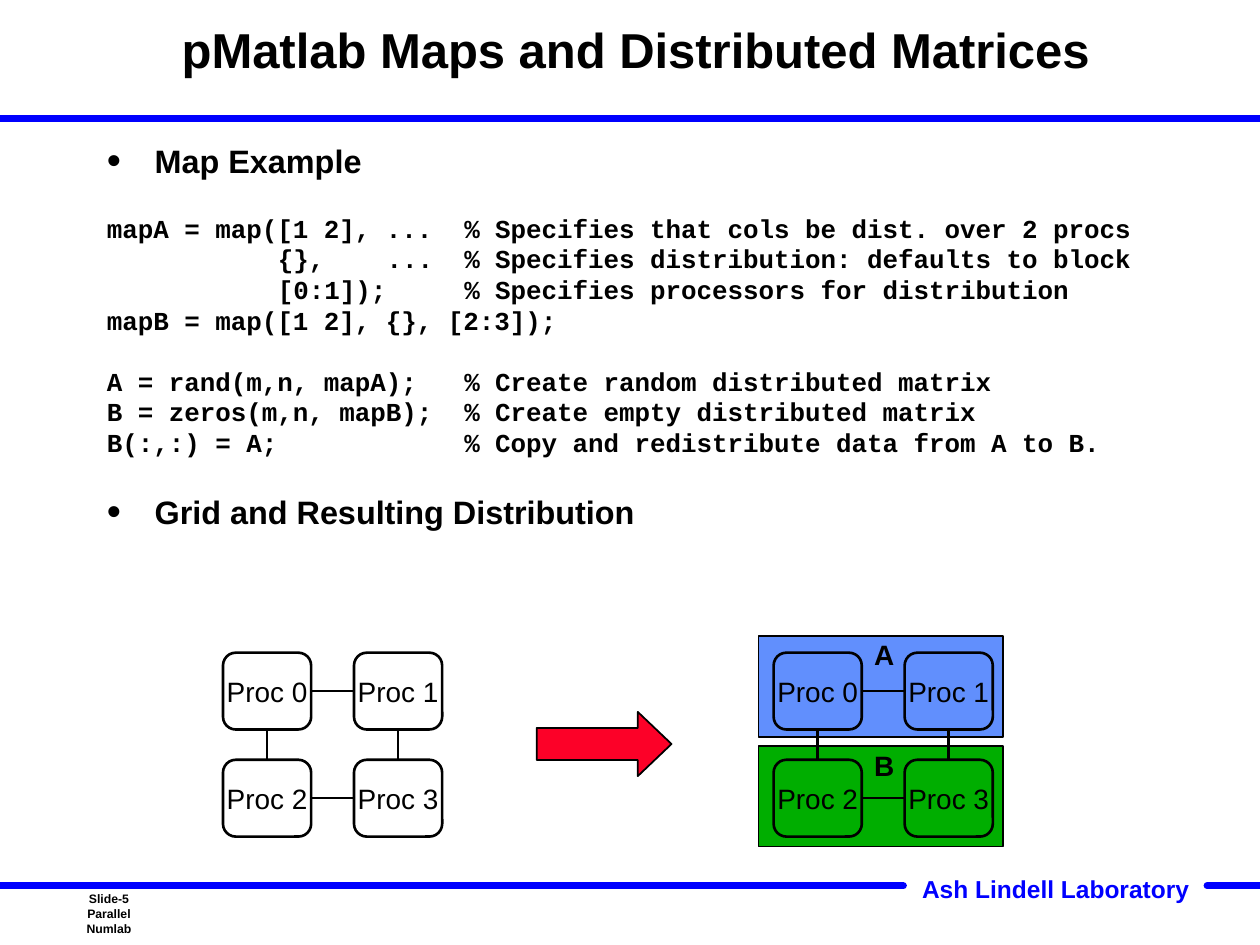
import pptx
import pptx.util
import pptx.dml.color
import pptx.enum.shapes
import pptx.enum.text
import pptx.oxml
import pptx.oxml.ns
from lxml import etree

Inches, Pt = pptx.util.Inches, pptx.util.Pt
SHAPE = pptx.enum.shapes.MSO_SHAPE
STRAIGHT = pptx.enum.shapes.MSO_CONNECTOR.STRAIGHT
ALIGN = pptx.enum.text.PP_ALIGN
ANCHOR = pptx.enum.text.MSO_ANCHOR
qn = pptx.oxml.ns.qn

COLORS = {"black": "000000", "white": "FFFFFF", "rule": "0000FF",
          "arrow": "FC0128", "A": "618FFD", "B": "00AE00"}

TITLE = "pMatlab Maps and Distributed Matrices"
LAB = "Ash Lindell Laboratory"
FOOTER = ["Slide-5", "Parallel Numlab"]

# kind, text, space before in points, tab stops in characters
BODY = [
    ("head", "Map Example", 0, []),
    ("code", "mapA = map([1 2], ...\t% Specifies that cols be dist. over 2 procs", 19, [23]),
    ("code", "\t{},\t...\t% Specifies distribution: defaults to block", 0, [11, 18, 23]),
    ("code", "\t[0:1]);\t% Specifies processors for distribution", 0, [11, 23]),
    ("code", "mapB = map([1 2], {}, [2:3]);", 0, []),
    ("code", "A = rand(m,n, mapA);\t% Create random distributed matrix", 17.5, [23]),
    ("code", "B = zeros(m,n, mapB);\t% Create empty distributed matrix", 0, [23]),
    ("code", "B(:,:) = A;\t% Copy and redistribute data from A to B.", 0, [23]),
    ("head", "Grid and Resulting Distribution", 26.2, []),
]
STYLES = {
    "head": ({"name": "Arial", "size": Pt(18.5), "bold": True}, 15.6),
    "code": ({"name": "Courier New", "size": Pt(14.8), "bold": True}, 17.5),
}
CHAR = 14.8 * 0.6 / 72      # width of one code character, inches
HANG = 0.38

PROCS = [["Proc 0", "Proc 1"], ["Proc 2", "Proc 3"]]
BOX = (0.7, 0.61)
STEP = (1.04, 0.85)
GRID_TOP = 5.18
# left edge, fill of each row
GRIDS = [(1.77, ["white", "white"]), (6.14, ["A", "B"])]
# name, top of band, top of label
BANDS = [("A", 5.05, 5.01), ("B", 5.92, 5.89)]
# from (row, col, side), to (row, col, side)
LINKS = [((0, 0, 3), (0, 1, 1)), ((0, 1, 2), (1, 1, 0)),
         ((1, 0, 3), (1, 1, 1)), ((0, 0, 2), (1, 0, 0))]
# x1, x2, y
RULES = [(0, 10, 0.94), (0, 7.17, 7.03), (9.58, 10, 7.03)]


def rgb(name):
    return pptx.dml.color.RGBColor.from_string(COLORS[name])


def style(font, form, color="black"):
    for key, val in form.items():
        setattr(font, key, val)
    font.color.rgb = rgb(color)


def write(shape, lines, size, bold=False, color="black",
          align=ALIGN.CENTER, anchor=ANCHOR.MIDDLE):
    frame = shape.text_frame
    frame.word_wrap = False
    frame.vertical_anchor = anchor
    for i, line in enumerate(lines):
        para = frame.paragraphs[0] if i == 0 else frame.add_paragraph()
        para.alignment = align
        run = para.add_run()
        run.text = line
        style(run.font, {"name": "Arial", "size": Pt(size), "bold": bold}, color)
    return frame


def text(shapes, at, lines, size, **look):
    box = shapes.add_textbox(*map(Inches, at))
    return write(box, lines, size, **look)


def block(shapes, kind, at, fill, width):
    shape = shapes.add_shape(kind, *map(Inches, at))
    shape.shadow.inherit = False
    shape.fill.solid()
    shape.fill.fore_color.rgb = rgb(fill)
    shape.line.color.rgb = rgb("black")
    shape.line.width = Pt(width)
    return shape


def line(shapes, ends, color, width):
    link = shapes.add_connector(STRAIGHT, *ends)
    link.line.color.rgb = rgb(color)
    link.line.width = Pt(width)
    etree.SubElement(link._element.spPr, qn("a:effectLst"))
    return link


def bullet(props):
    props.set("marL", str(Inches(HANG)))
    props.set("indent", str(-Inches(HANG)))
    etree.SubElement(props, qn("a:buSzPct")).set("val", "125000")
    etree.SubElement(props, qn("a:buFont")).set("typeface", "Arial")
    etree.SubElement(props, qn("a:buChar")).set("char", "•")


def tabs(props, stops):
    group = etree.SubElement(props, qn("a:tabLst"))
    for stop in stops:
        tab = etree.SubElement(group, qn("a:tab"))
        tab.set("pos", str(Inches(stop * CHAR)))
        tab.set("algn", "l")


def body(shapes):
    frame = shapes.add_textbox(*map(Inches, (0.75, 1.16, 9.17, 3.43))).text_frame
    frame.word_wrap = True
    for i, (kind, words, before, stops) in enumerate(BODY):
        para = frame.paragraphs[0] if i == 0 else frame.add_paragraph()
        form, pitch = STYLES[kind]
        para.line_spacing = Pt(pitch)
        para.space_before = Pt(before)
        run = para.add_run()
        run.text = words
        style(run.font, form)
        props = para._p.get_or_add_pPr()
        if kind == "head":
            bullet(props)
        elif stops:
            tabs(props, stops)


def side(shape, at):
    """Middle of a side: 0 top, 1 left, 2 bottom, 3 right."""
    x, y = ((1, 0), (0, 1), (1, 2), (2, 1))[at]
    return shape.left + shape.width * x // 2, shape.top + shape.height * y // 2


def grid(shapes, left, fills):
    cells = {}
    for r, row in enumerate(PROCS):
        for c, name in enumerate(row):
            at = (left + c * STEP[0], GRID_TOP + r * STEP[1], *BOX)
            cell = block(shapes, SHAPE.ROUNDED_RECTANGLE, at, fills[r], 1.5)
            write(cell, [name], 16)
            cells[r, c] = cell
    for (r1, c1, s1), (r2, c2, s2) in LINKS:
        head, tail = cells[r1, c1], cells[r2, c2]
        link = line(shapes, side(head, s1) + side(tail, s2), "black", 1.5)
        link.begin_connect(head, s1)
        link.end_connect(tail, s2)


def main():
    deck = pptx.Presentation()
    deck.slide_width, deck.slide_height = Inches(10), Inches(7.5)
    shapes = deck.slides.add_slide(deck.slide_layouts[6]).shapes

    for x1, x2, y in RULES:
        rule = line(shapes, map(Inches, (x1, y, x2, y)), "rule", 4)
        rule.line._get_or_add_ln().set("cap", "rnd")
    text(shapes, (7.2, 6.89, 2.36, 0.33), [LAB], 14, bold=True,
         color="rule", anchor=ANCHOR.TOP)
    text(shapes, (0.5, 7, 0.73, 0.5), FOOTER, 7, bold=True)
    title = text(shapes, (1.17, 0, 7.75, 0.83), [TITLE], 28, bold=True)
    title.word_wrap = True
    title.paragraphs[0].line_spacing = Pt(30)
    body(shapes)

    arrow = block(shapes, SHAPE.RIGHT_ARROW, (4.26, 5.65, 1.07, 0.51), "arrow", 1)
    arrow.adjustments[1] = 0.525
    for name, top, _ in BANDS:
        block(shapes, SHAPE.RECTANGLE, (6.02, top, 1.94, 0.8), name, 1)
    for left, fills in GRIDS:
        grid(shapes.add_group_shape().shapes, left, fills)
    for name, _, top in BANDS:
        text(shapes, (6.84, top, 0.36, 0.37), [name], 16, bold=True,
             align=ALIGN.LEFT, anchor=ANCHOR.TOP)
    deck.save("out.pptx")


if __name__ == "__main__":
    main()
